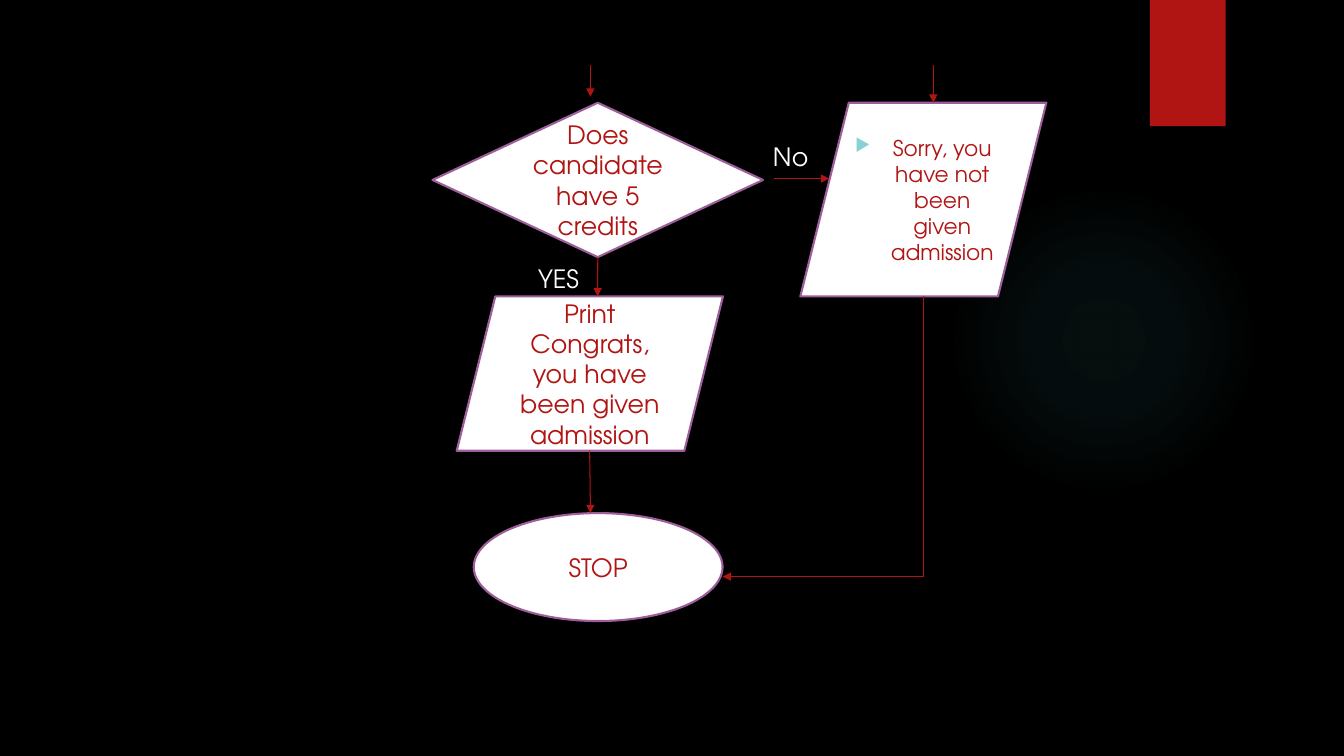
from lxml.etree import SubElement
from pptx import Presentation
from pptx.dml.color import RGBColor
from pptx.enum.shapes import MSO_CONNECTOR, MSO_SHAPE
from pptx.enum.text import MSO_ANCHOR, MSO_AUTO_SIZE, PP_ALIGN
from pptx.oxml.ns import qn
from pptx.util import Cm, Pt

BLACK = RGBColor(0x00, 0x00, 0x00)
WHITE = RGBColor(0xFF, 0xFF, 0xFF)
RED = RGBColor(0xB0, 0x15, 0x13)
PURPLE = RGBColor(0x9E, 0x5E, 0x9B)
TEAL = RGBColor(0x50, 0xB9, 0xC1)
LIGHT_TEAL = RGBColor(0x8A, 0xD0, 0xD6)
FONT = "TeX Gyre Adventor"


def add_element(parent, tag, **attributes):
    return SubElement(parent, qn(tag), attributes)


def write_text(frame, text, size=18, color=RED, align=PP_ALIGN.CENTER, space_before=0):
    paragraph = frame.paragraphs[0]
    paragraph.alignment = align
    paragraph.space_before = Pt(space_before)
    run = paragraph.add_run()
    run.text = text
    run.font.name = FONT
    run.font.size = Pt(size)
    run.font.color.rgb = color
    return paragraph


class FlowchartSlide:
    """Holds the style and the slide; all lengths are in centimetres."""

    def __init__(self, slide):
        self.slide = slide
        self.line_color = RED
        self.outline_color = PURPLE
        slide.background.fill.solid()
        slide.background.fill.fore_color.rgb = BLACK

    def plain_shape(self, kind, left, top, width, height, color):
        shape = self.slide.shapes.add_shape(kind, Cm(left), Cm(top), Cm(width), Cm(height))
        shape.shadow.inherit = False
        shape.fill.solid()
        shape.fill.fore_color.rgb = color
        shape.line.fill.background()
        return shape

    def glow(self, left, top, size, color, stops):
        shape = self.plain_shape(MSO_SHAPE.OVAL, left, top, size, size, color)
        properties = shape.fill._xPr
        solid = properties.find(qn("a:solidFill"))
        gradient = add_element(properties, "a:gradFill", rotWithShape="1")
        properties.replace(solid, gradient)
        stop_list = add_element(gradient, "a:gsLst")
        for position, opacity in stops:
            stop = add_element(stop_list, "a:gs", pos=str(position * 1000))
            stop_color = add_element(stop, "a:srgbClr", val=str(color))
            add_element(stop_color, "a:alpha", val=str(opacity * 1000))
        path = add_element(gradient, "a:path", path="circle")
        add_element(path, "a:fillToRect", l="50000", t="50000", r="50000", b="50000")

    def node(self, kind, left, top, width, height, text, bullet=False, **style):
        shape = self.plain_shape(kind, left, top, width, height, WHITE)
        shape.line.color.rgb = self.outline_color
        shape.line.width = Pt(1.5)
        frame = shape.text_frame
        frame.word_wrap = True
        frame.vertical_anchor = MSO_ANCHOR.MIDDLE
        paragraph = write_text(frame, text, **style)
        if bullet:
            self.bullet(paragraph)
        return shape

    def bullet(self, paragraph):
        properties = paragraph._p.get_or_add_pPr()
        indent = Cm(0.95)
        properties.set("marL", str(indent))
        properties.set("indent", str(-indent))
        bullet_color = add_element(properties, "a:buClr")
        add_element(bullet_color, "a:srgbClr", val=str(LIGHT_TEAL))
        add_element(properties, "a:buSzPct", val="80000")
        add_element(properties, "a:buChar", char="▶")

    def label(self, left, top, width, text):
        box = self.slide.shapes.add_textbox(Cm(left), Cm(top), Cm(width), Cm(1.02))
        frame = box.text_frame
        frame.word_wrap = True
        frame.auto_size = MSO_AUTO_SIZE.SHAPE_TO_FIT_TEXT
        frame.margin_right = 0
        write_text(frame, text, color=WHITE, align=PP_ALIGN.LEFT)

    def line(self, start, end, arrow=True):
        points = [Cm(value) for value in (*start, *end)]
        connector = self.slide.shapes.add_connector(MSO_CONNECTOR.STRAIGHT, *points)
        connector.line.color.rgb = self.line_color
        connector.line.width = Pt(0.75)
        if arrow:
            add_element(connector.line._get_or_add_ln(), "a:tailEnd", type="triangle")
        add_element(connector._element.spPr, "a:effectLst")
        return connector


def main():
    presentation = Presentation()
    presentation.slide_width = Cm(33.87)
    presentation.slide_height = Cm(19.05)
    chart = FlowchartSlide(presentation.slides.add_slide(presentation.slide_layouts[6]))

    # Background decoration
    chart.glow(23.9, 4.65, 7.82, TEAL, [(0, 7), (36, 6), (69, 0)])
    chart.plain_shape(MSO_SHAPE.RECTANGLE, 28.98, 0, 1.91, 3.18, RED)

    # Flowchart nodes
    decision = chart.node(MSO_SHAPE.DIAMOND, 10.9, 2.59, 8.33, 3.89,
                          "Does candidate have 5 credits")
    chart.node(MSO_SHAPE.PARALLELOGRAM, 20.17, 2.59, 6.2, 4.88,
               "Sorry, you have not been given admission",
               bullet=True, size=15.5, space_before=10)
    chart.node(MSO_SHAPE.PARALLELOGRAM, 11.51, 7.47, 6.71, 3.89,
               "Print Congrats, you have been given admission")
    chart.node(MSO_SHAPE.OVAL, 11.94, 12.93, 6.27, 2.72, "STOP")

    # Arrows into and between the nodes
    chart.line((14.88, 1.65), (14.88, 2.44))
    chart.line((23.52, 1.65), (23.52, 2.59))
    chart.line((19.51, 4.5), (20.9, 4.5))
    yes_arrow = chart.line((15.06, 6.48), (15.06, 7.47))
    yes_arrow.begin_connect(decision, 2)
    chart.line((14.86, 11.36), (14.88, 12.93))

    # Return path from the refusal to the end
    corner = (23.27, 14.53)
    chart.line((23.27, 7.47), corner, arrow=False)
    chart.line(corner, (18.21, 14.53))

    # Branch labels
    chart.label(19.23, 3.43, 1.4, "No")
    chart.label(13.31, 6.5, 2.34, "YES")

    presentation.save("out.pptx")


if __name__ == "__main__":
    main()
